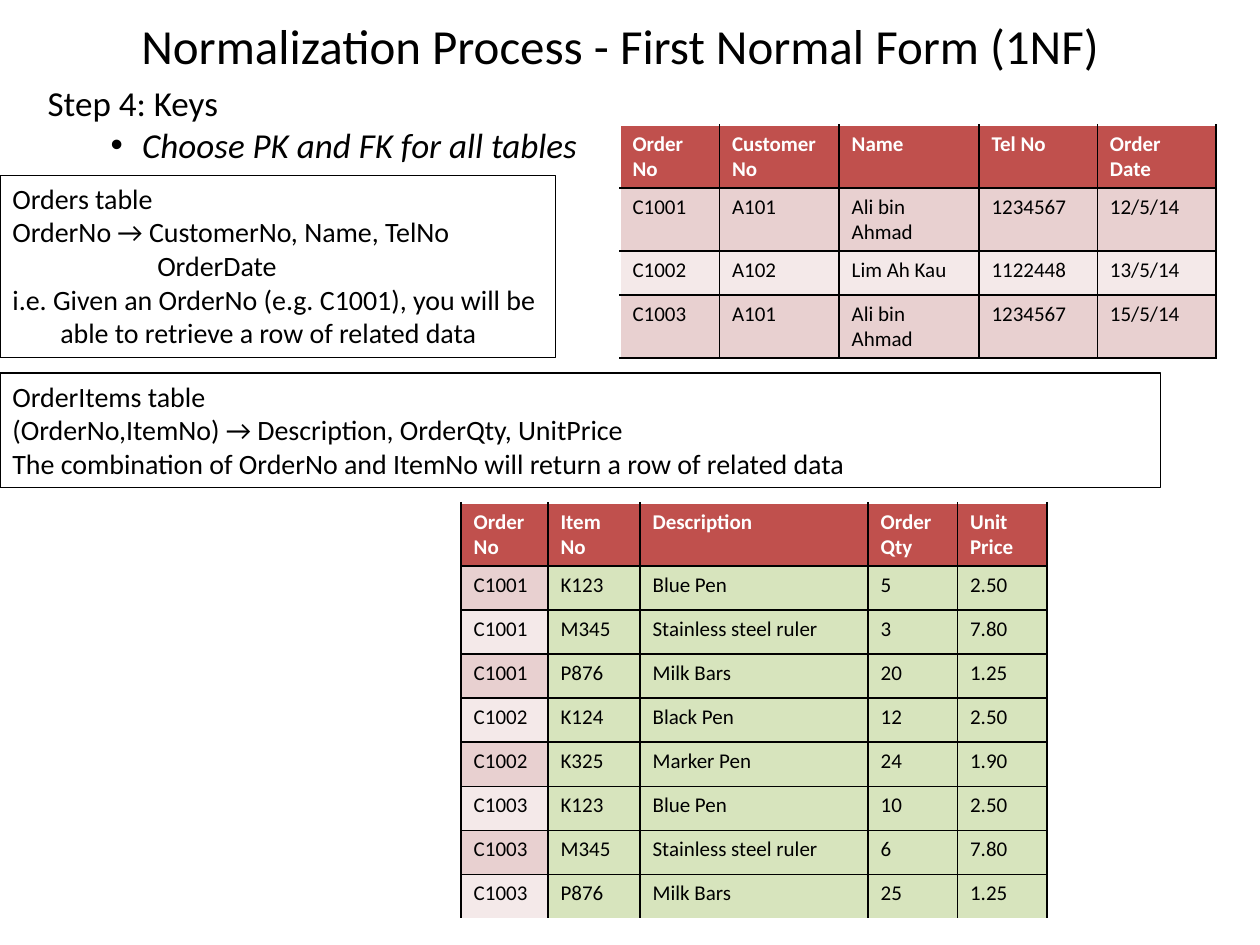
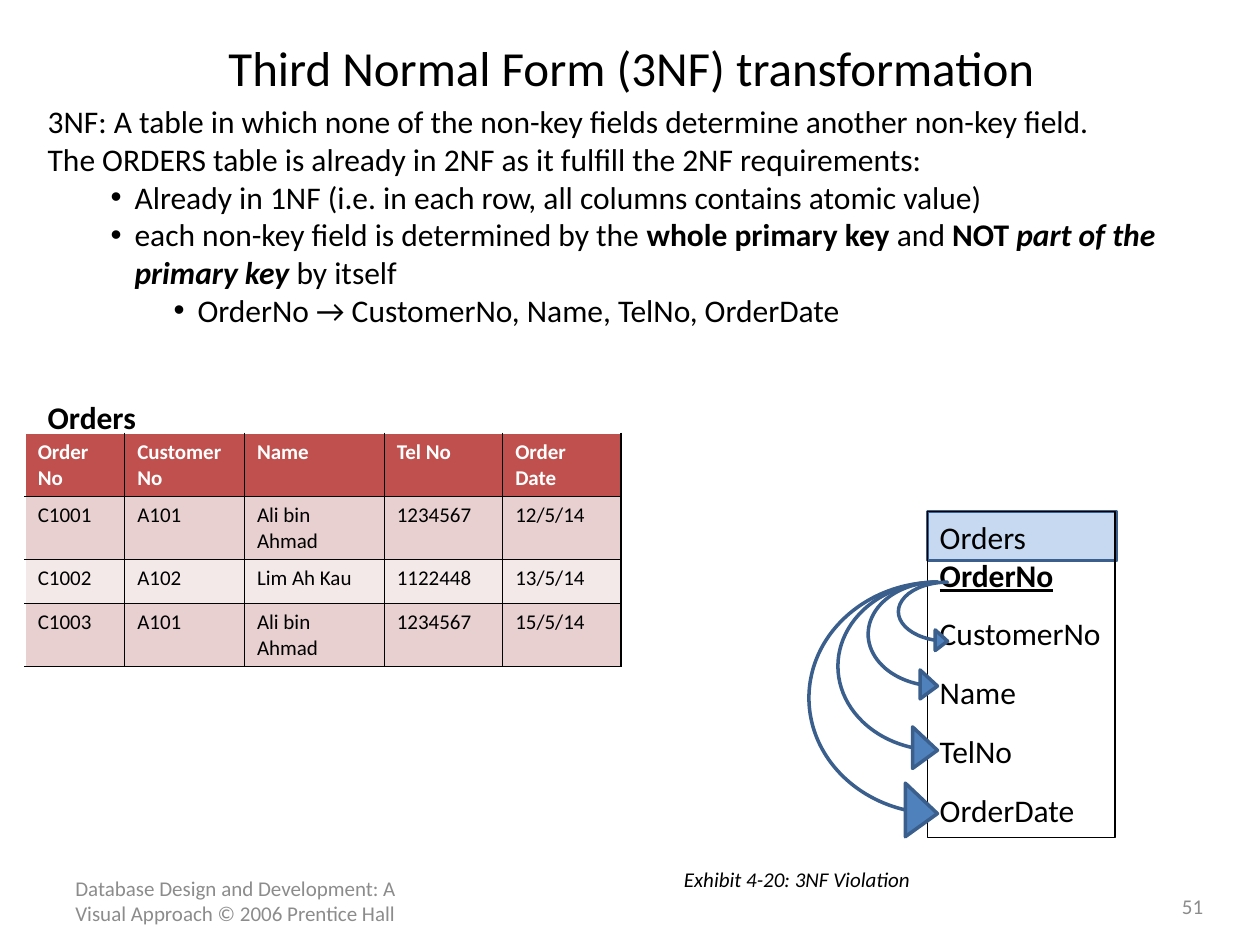
from lxml import etree
from pptx import Presentation
from pptx import util as u
from pptx.dml.color import RGBColor
from pptx.enum import shapes, text
from pptx.oxml import ns

rgb = RGBColor.from_string
BLACK, WHITE, GREY = "000000", "FFFFFF", "8C8C8C"
RED, ROSE, PALE_ROSE, GREEN = "C0504D", "E8D0D0", "F4E9E9", "D7E4BD"
SKY, BLUE, NAVY = "C6D9F1", "4F81BD", "3A5F8C"
FONT = "Calibri"
GRID = u.Inches(0.01)  # the slide is 1000 columns by 750 rows


def write(frame, words, size=18, color=BLACK, bold=False, italic=False,
          underline=False, align=text.PP_ALIGN.LEFT, level=0, left=0, hang=0,
          bullet=False, before=0):
    """Add a paragraph; words is a string or a list of (string, style letters)."""
    para = frame.paragraphs[0]
    if para.runs:
        para = frame.add_paragraph()
    para.alignment, para.level, para.space_before = align, level, u.Pt(before)
    props = para._p.get_or_add_pPr()
    props.set("marL", str(left * GRID))
    props.set("indent", str(-hang * GRID))
    if bullet:
        etree.SubElement(props, ns.qn("a:buFont")).set("typeface", "Arial")
        etree.SubElement(props, ns.qn("a:buChar")).set("char", "•")
    for part, style in [(words, "")] if isinstance(words, str) else words:
        span = para.add_run()
        span.text = part
        span.font.name, span.font.size = FONT, u.Pt(size)
        span.font.bold = bold or "b" in style
        span.font.italic = italic or "i" in style
        span.font.underline = underline
        span.font.color.rgb = rgb(color)


def add_grid_table(page, left, top, widths, rows, body_fills, white_edge):
    """Add a table with a red header; body_fills gives (first, other) fills of banded rows."""
    heights = [49] + [35] * (len(rows) - 1)
    table = page.shapes.add_table(len(rows), len(widths), left * GRID, top * GRID,
                                  sum(widths) * GRID, sum(heights) * GRID).table
    table.horz_banding = False
    for column, width in zip(table.columns, widths):
        column.width = width * GRID
    for r, row in enumerate(rows):
        table.rows[r].height = heights[r] * GRID
        for c, words in enumerate(row):
            cell = table.cell(r, c)
            white = {"T": r == 0,
                     "L": white_edge == "L" and c == 0,
                     "B": white_edge == "B" and r == len(rows) - 1}
            props = cell._tc.get_or_add_tcPr()
            for side in "LRTB":
                border = etree.SubElement(props, ns.qn("a:ln" + side), w=str(u.Pt(1)))
                fill = etree.SubElement(border, ns.qn("a:solidFill"))
                etree.SubElement(fill, ns.qn("a:srgbClr"),
                                 val=WHITE if white.get(side) else BLACK)
            cell.fill.solid()
            cell.fill.fore_color.rgb = rgb(RED if r == 0 else body_fills[c > 0][r % 2])
            for line in words.split("\n"):
                write(cell.text_frame, line, size=12, bold=r == 0,
                      color=WHITE if r == 0 else BLACK)


deck = Presentation()
deck.slide_width, deck.slide_height = 1000 * GRID, 750 * GRID

# Pages and titles
pages = []
for title, place in [
    ("Normalization Process - First Normal Form (1NF)", (67, 0, 850, 71)),
    ("Third Normal Form (3NF) transformation", (51, 21, 900, 65)),
]:
    page = deck.slides.add_slide(deck.slide_layouts[5])
    holder = page.shapes.title
    holder.left, holder.top, holder.width, holder.height = [n * GRID for n in place]
    holder.text_frame.vertical_anchor = text.MSO_ANCHOR.MIDDLE
    write(holder.text_frame, title, size=28, align=text.PP_ALIGN.CENTER)
    pages.append(page)
keys_page, third_form_page = pages

# Shaded heading behind the field list
heading = third_form_page.shapes.add_shape(
    shapes.MSO_SHAPE.RECTANGLE, *[n * GRID for n in (736, 406, 150, 39)])
heading.shadow.inherit = False
heading.fill.solid()
heading.fill.fore_color.rgb = rgb(SKY)
heading.line.color.rgb = rgb(NAVY)
heading.line.width = u.Pt(2)

# Text boxes: page, place, outlined, wrapped, centred vertically, paragraphs
note = dict(size=16)
step = dict(level=1, left=69, hang=19, bullet=True)
footer = dict(size=12, color=GREY)
text_boxes = [
    (keys_page, (28, 60, 748, 77), False, True, False, [
        ("Step 4: Keys", dict(size=20)),
        ("Choose PK and FK for all tables",
         dict(size=20, italic=True, level=1, left=75, hang=25, bullet=True)),
    ]),
    (keys_page, (0, 139, 441, 145), True, True, False, [
        ("Orders table", note),
        ("OrderNo → CustomerNo, Name, TelNo", note),
        ("OrderDate", dict(size=16, left=115)),
        ("i.e. Given an OrderNo (e.g. C1001), you will be able to retrieve "
         "a row of related data", dict(size=16, left=38, hang=38)),
    ]),
    (keys_page, (0, 296, 921, 91), True, True, False, [
        ("OrderItems table", note),
        ("(OrderNo,ItemNo) → Description, OrderQty, UnitPrice", note),
        ("The combination of OrderNo and ItemNo will return a row of related data",
         dict(size=16, left=38, hang=38)),
    ]),
    (third_form_page, (28, 76, 953, 222), False, True, False, [
        ("3NF: A table in which none of the non-key fields determine "
         "another non-key field.", {}),
        ("The ORDERS table is already in 2NF as it fulfill the 2NF requirements:", {}),
        ("Already in 1NF (i.e. in each row, all columns contains atomic value)", step),
        ([("each non-key field is determined by the ", ""), ("whole primary key", "b"),
          (" and ", ""), ("NOT ", "b"), ("part of the primary key", "bi"),
          (" by itself", "")], step),
        ("OrderNo → CustomerNo, Name, TelNo, OrderDate",
         dict(level=2, left=119, hang=19, bullet=True)),
    ]),
    (third_form_page, (736, 406, 149, 259), True, False, False, [
        ("Orders", {}),
        ("OrderNo", dict(bold=True, underline=True)),
        *[(field, dict(before=12))
          for field in ("CustomerNo", "Name", "TelNo", "OrderDate")],
    ]),
    (third_form_page, (28, 311, 91, 40), False, False, False,
     [("Orders", dict(bold=True))]),
    (third_form_page, (533, 683, 217, 30), False, False, False,
     [("Exhibit 4-20: 3NF Violation", dict(size=12, italic=True))]),
    (third_form_page, (50, 695, 294, 40), False, True, True,
     [("Database Design and Development: A Visual Approach © 2006 Prentice Hall",
       footer)]),
    (third_form_page, (917, 703, 59, 32), False, True, True,
     [("51", dict(footer, align=text.PP_ALIGN.CENTER))]),
]
for page, place, outlined, wrapped, centred, paragraphs in text_boxes:
    box = page.shapes.add_textbox(*[n * GRID for n in place])
    frame = box.text_frame
    frame.word_wrap = wrapped
    if centred:
        frame.vertical_anchor = text.MSO_ANCHOR.MIDDLE
    else:
        frame.auto_size = text.MSO_AUTO_SIZE.SHAPE_TO_FIT_TEXT
    if outlined:
        box.line.color.rgb = rgb(BLACK)
        box.line.width = u.Pt(0.75)
    for words, style in paragraphs:
        write(frame, words, **style)

# Dependency arrows from OrderNo to each other field
for left, width, height in [(689, 55, 94), (665, 79, 150), (642, 102, 205), (713, 39, 55)]:
    arrow = third_form_page.shapes.add_shape(
        shapes.MSO_SHAPE.CURVED_RIGHT_ARROW,
        left * GRID, 462 * GRID, width * GRID, height * GRID)
    for i, share in enumerate((0, 0.417, 0.25)):
        arrow.adjustments[i] = share
    arrow.shadow.inherit = False
    arrow.fill.solid()
    arrow.fill.fore_color.rgb = rgb(BLUE)
    arrow.line.color.rgb = rgb(NAVY)
    arrow.line.width = u.Pt(2)

# Orders table, on both pages
bands = (PALE_ROSE, ROSE)
orders = [
    ("Order No", "Customer\nNo", "Name", "Tel No", "Order Date"),
    ("C1001", "A101", "Ali bin Ahmad", "1234567", "12/5/14"),
    ("C1002", "A102", "Lim Ah Kau", "1122448", "13/5/14"),
    ("C1003", "A101", "Ali bin Ahmad", "1234567", "15/5/14"),
]
for page, left, top in [(keys_page, 492, 99), (third_form_page, 20, 344)]:
    add_grid_table(page, left, top, (79, 95, 111, 94, 94), orders, (bands, bands), "L")

# Order items table
order_items = [
    ("Order No", "Item No", "Description", "Order\nQty", "Unit\nPrice"),
    ("C1001", "K123", "Blue Pen", "5", "2.50"),
    ("C1001", "M345", "Stainless steel ruler", "3", "7.80"),
    ("C1001", "P876", "Milk Bars", "20", "1.25"),
    ("C1002", "K124", "Black Pen", "12", "2.50"),
    ("C1002", "K325", "Marker Pen", "24", "1.90"),
    ("C1003", "K123", "Blue Pen", "10", "2.50"),
    ("C1003", "M345", "Stainless steel ruler", "6", "7.80"),
    ("C1003", "P876", "Milk Bars", "25", "1.25"),
]
add_grid_table(keys_page, 366, 399, (69, 73, 181, 71, 71), order_items,
               (bands, (GREEN, GREEN)), "B")

deck.save("out.pptx")
